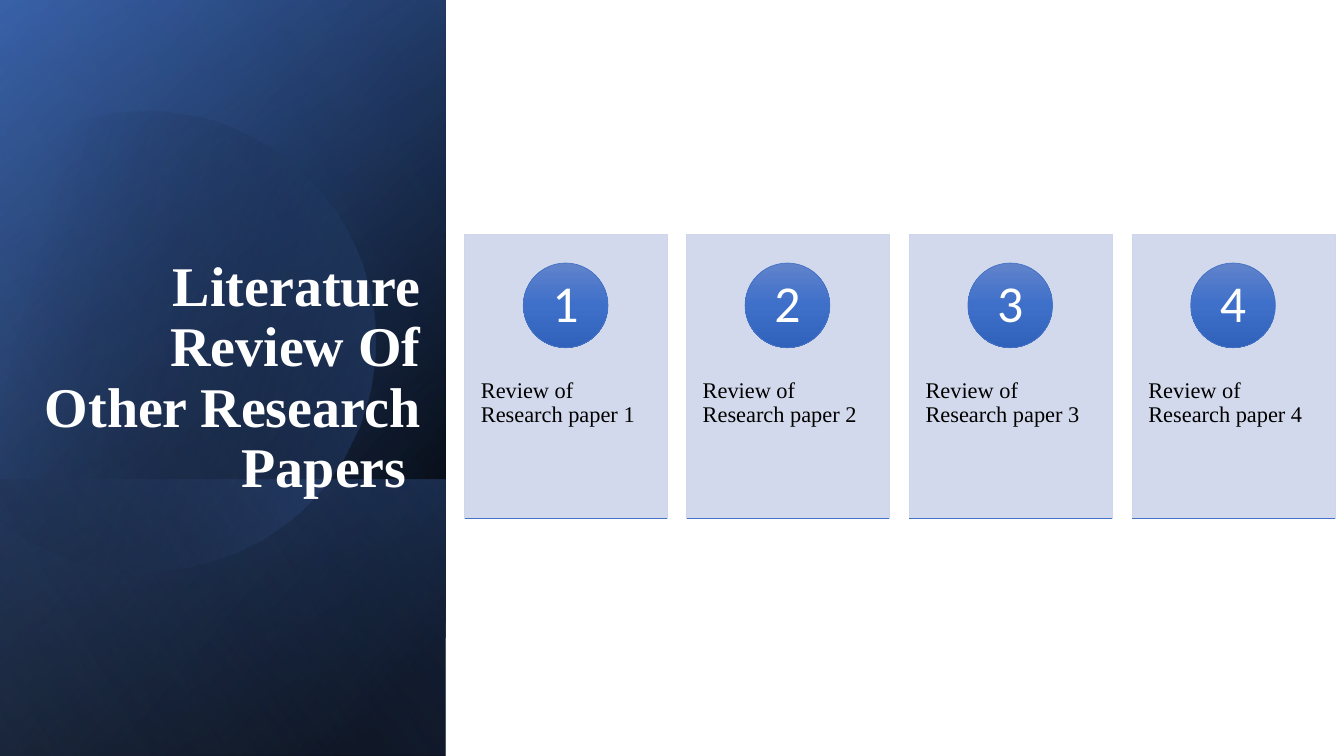
from dataclasses import dataclass
from math import cos, radians, sin

from pptx import Presentation
from pptx.dml.color import RGBColor
from pptx.enum.shapes import MSO_CONNECTOR, MSO_SHAPE
from pptx.enum.text import MSO_ANCHOR, MSO_AUTO_SIZE, PP_ALIGN
from pptx.oxml import parse_xml
from pptx.oxml.ns import nsdecls, qn
from pptx.oxml.xmlchemy import OxmlElement
from pptx.util import Emu, Pt

EMU_PER_PX = 9144


@dataclass(frozen=True)
class Theme:
    accent: str = "4472C4"
    deep: str = "2F5597"
    pale: str = "8FAADC"
    card: str = "CFD5EA"
    black: str = "000000"
    white: str = "FFFFFF"
    badge: tuple = ((0, "6183CB", 100), (50, "3E70CA", 100), (100, "3062BB", 100))
    serif: str = "Times New Roman"
    sans: str = "Calibri"
    title_size: int = 40
    body_size: int = 16
    number_size: int = 37
    hairline: float = 0.5


def px(n):
    return Emu(round(n * EMU_PER_PX))


def rgb(value):
    return RGBColor.from_string(value)


def apply(obj, values):
    for name, value in values.items():
        setattr(obj, name, value)


def color_xml(color, alpha):
    return f'<a:srgbClr val="{color}"><a:alpha val="{alpha * 1000}"/></a:srgbClr>'


def cubic(start, c1, c2, end, steps=24):
    for k in range(1, steps + 1):
        t = k / steps
        u = 1 - t
        yield u**3 * start + 3 * u * u * t * c1 + 3 * u * t * t * c2 + t**3 * end


class SlideBuilder:
    def __init__(self, prs, theme):
        self.theme = theme
        self.slide = prs.slides.add_slide(prs.slide_layouts[5])
        self.shapes = self.slide.shapes

    def set_fill(self, sp, xml):
        sp.shadow.inherit = False
        sp.fill.background()
        sp_pr = sp.element.spPr
        sp_pr.replace(sp_pr.find(qn("a:noFill")), parse_xml(xml))

    def gradient(self, sp, stops, angle):
        gs = "".join(
            f'<a:gs pos="{pos * 1000}">{color_xml(color, alpha)}</a:gs>'
            for pos, color, alpha in stops
        )
        self.set_fill(
            sp,
            f'<a:gradFill {nsdecls("a")} rotWithShape="1"><a:gsLst>{gs}</a:gsLst>'
            f'<a:lin ang="{angle * 60000}" scaled="0"/></a:gradFill>',
        )

    def outline(self, line, color):
        line.color.rgb = rgb(color)
        line.width = Pt(self.theme.hairline)

    def panel(self, box, stops, angle):
        sp = self.shapes.add_shape(MSO_SHAPE.RECTANGLE, *map(px, box))
        self.gradient(sp, stops, angle)
        sp.line.fill.background()
        sp.rotation = 90
        sp.element.spPr.xfrm.set("flipH", "1")

    def arc(self, points, center, rotation, stops, angle):
        turn = radians(-rotation)
        turned = [(p - center) * complex(cos(turn), sin(turn)) + center for p in points]
        xy = [(p.real, p.imag) for p in turned]
        builder = self.shapes.build_freeform(*xy[0], scale=EMU_PER_PX)
        builder.add_line_segments(xy[1:], close=True)
        sp = builder.convert_to_shape()
        sp.rotation = rotation
        self.gradient(sp, stops, angle)
        sp.line.fill.background()

    def set_text(self, sp, text, size, font, color, align, bold=False, **frame):
        tf = sp.text_frame
        apply(tf, {"auto_size": MSO_AUTO_SIZE.NONE, "word_wrap": True, **frame})
        p = tf.paragraphs[0]
        apply(p, {"alignment": align, "line_spacing": 0.9})
        r = p.add_run()
        r.text = text
        apply(r.font, {"size": Pt(size), "name": font, "bold": bold})
        r.font.color.rgb = rgb(color)

    def title(self, box, text):
        th = self.theme
        sp = self.shapes.title
        apply(sp, dict(zip(("left", "top", "width", "height"), map(px, box))))
        self.set_text(sp, text, th.title_size, th.serif, th.white, PP_ALIGN.RIGHT,
                      bold=True, vertical_anchor=MSO_ANCHOR.BOTTOM)
        self.shapes.element.append(sp.element)

    def card(self, x, y, w, h):
        color = self.theme.card
        sp = self.shapes.add_shape(MSO_SHAPE.RECTANGLE, *map(px, (x, y, w, h)))
        self.set_fill(sp, f'<a:solidFill {nsdecls("a")}>{color_xml(color, 90)}</a:solidFill>')
        self.outline(sp.line, color)

    def label(self, box, text):
        th = self.theme
        sp = self.shapes.add_textbox(*map(px, box))
        self.set_text(sp, text, th.body_size, th.serif, th.black, PP_ALIGN.LEFT,
                      margin_left=px(16), margin_right=px(16),
                      margin_top=px(36), margin_bottom=px(36))

    def badge(self, x, y, size, number):
        th = self.theme
        sp = self.shapes.add_shape(MSO_SHAPE.OVAL, *map(px, (x, y, size, size)))
        self.gradient(sp, th.badge, 90)
        self.outline(sp.line, th.accent)
        self.set_text(sp, str(number), th.number_size, th.sans, th.white, PP_ALIGN.CENTER,
                      vertical_anchor=MSO_ANCHOR.MIDDLE, margin_left=0, margin_right=0,
                      margin_top=px(1), margin_bottom=px(1))

    def rule(self, x, y, w):
        line = self.shapes.add_connector(MSO_CONNECTOR.STRAIGHT, *map(px, (x, y, x + w, y)))
        self.outline(line.line, self.theme.accent)
        line.element.spPr.append(OxmlElement("a:effectLst"))


def main():
    prs = Presentation()
    prs.slide_width, prs.slide_height = px(1333), px(750)
    th = Theme()
    s = SlideBuilder(prs, th)

    side = (-154, 154, 750, 442)
    s.panel(side, [(8, th.black, 100), (100, th.deep, 100)], 50)
    s.panel(side, [(0, th.black, 0), (99, th.accent, 46)], 30)
    s.panel((84, 392, 274, 442), [(2, th.accent, 29), (100, th.black, 30)], 130)

    right_curves = [
        (149 + 110j, 246 + 112j, 335 + 177j, 363 + 275j),
        (363 + 275j, 398 + 397j, 328 + 523j, 207 + 558j),
        (207 + 558j, 131 + 580j, 53 + 561j, -3 + 514j),
    ]
    left_edge = [-15 + 503j, -15 + 175j, 0 + 161j]
    top_curves = [
        (0 + 161j, 23 + 142j, 50 + 123j, 80 + 119j),
        (80 + 119j, 103 + 113j, 126 + 110j, 149 + 110j),
    ]
    points = [p for curve in right_curves for p in cubic(*curve)]
    points += left_edge + [p for curve in top_curves for p in cubic(*curve)]
    s.arc(points, 158.5 + 334.5j, 343.9, [(29, th.black, 0), (100, th.accent, 43)], 30)
    s.panel(side, [(0, th.black, 0), (99, th.pale, 11)], 120)

    s.title((19, 184, 408, 317), "Literature Review Of Other Research Papers ")

    top, width, height = 233, 201, 281
    for i in range(4):
        x = 461 + i * 662 // 3
        s.card(x, top, width, height)
        s.label((x, top + 107, width, 169), f"Review of Research paper {i + 1}")
        s.badge(x + 58, top + 28, 84, i + 1)
        s.rule(x, top + height, width)

    prs.save("out.pptx")


if __name__ == "__main__":
    main()
